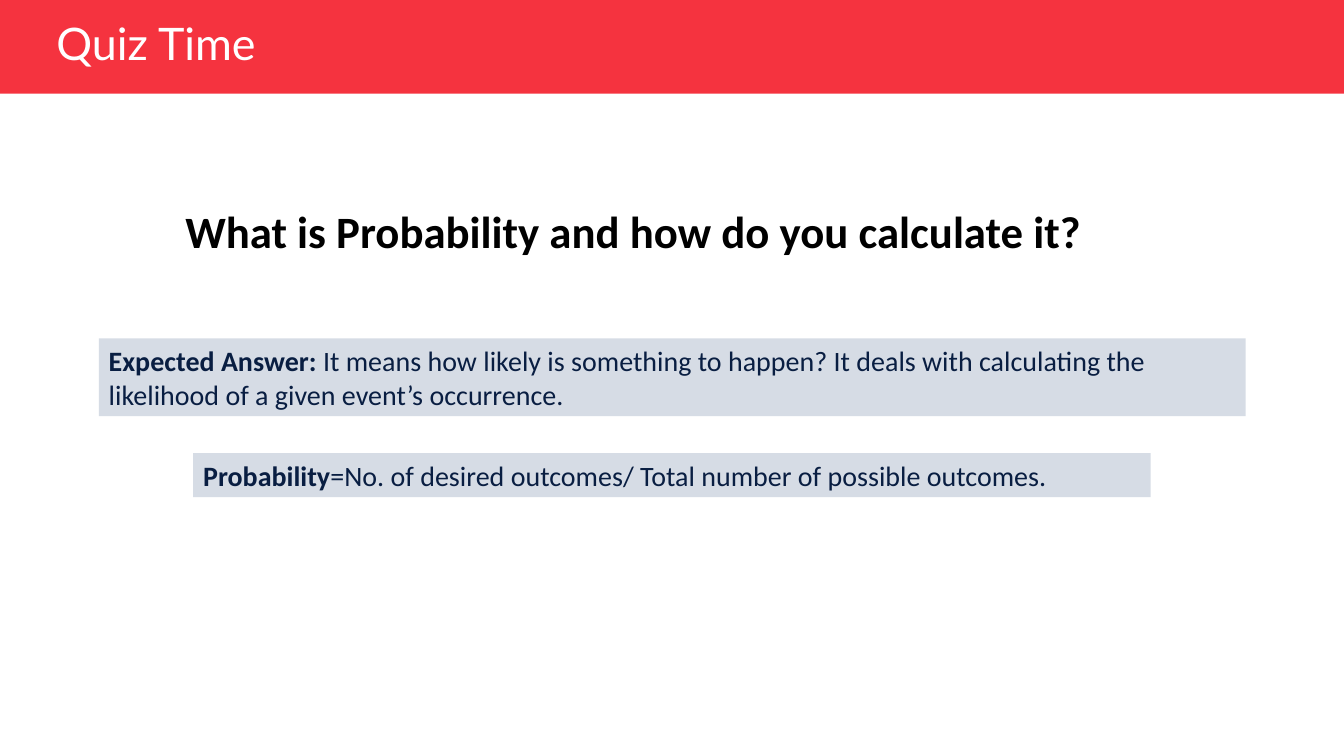
import pptx
import pptx.util
import pptx.dml.color
import pptx.enum.shapes
import pptx.enum.text

Cm = pptx.util.Cm
Pt = pptx.util.Pt
RED = pptx.dml.color.RGBColor(0xF5, 0x33, 0x3F)
WHITE = pptx.dml.color.RGBColor(0xFF, 0xFF, 0xFF)
BLACK = pptx.dml.color.RGBColor(0x00, 0x00, 0x00)
NAVY = pptx.dml.color.RGBColor(0x09, 0x1E, 0x42)
PALE_BLUE = pptx.dml.color.RGBColor(0xD6, 0xDC, 0xE5)

TITLE = {"name": "Lato", "size": Pt(32), "bold": False}
QUESTION = {"name": "Calibri", "size": Pt(32), "bold": True}
LABEL = {"name": "Calibri", "size": Pt(20), "bold": True}
BODY = {**LABEL, "bold": False}


def add_bar(slide, box, color):
    """Add a plain filled rectangle in the box and return it."""
    sp = slide.shapes.add_shape(
        pptx.enum.shapes.MSO_SHAPE.RECTANGLE, *map(Cm, box))
    sp.shadow.inherit = False
    sp.fill.solid()
    sp.fill.fore_color.rgb = color
    sp.line.fill.background()
    return sp


def write(sp, runs, color, anchor=pptx.enum.text.MSO_ANCHOR.TOP):
    """Write one left-aligned paragraph of (text, format) runs."""
    tf = sp.text_frame
    tf.word_wrap = True
    tf.vertical_anchor = anchor
    p = tf.paragraphs[0]
    p.alignment = pptx.enum.text.PP_ALIGN.LEFT
    for text, fmt in runs:
        r = p.add_run()
        r.text = text
        r.font.color.rgb = color
        for key, value in fmt.items():
            setattr(r.font, key, value)
    return p


def add_header(slide, box, title):
    """Add the red band across the box with the slide title in it."""
    left, top, width, height = box
    add_bar(slide, box, RED)
    sp = slide.shapes.add_textbox(
        Cm(left + 1.17), Cm(top + 0.46), Cm(19.74), Cm(height - 0.94))
    p = write(sp, [(title, TITLE)], WHITE, pptx.enum.text.MSO_ANCHOR.MIDDLE)
    p.line_spacing = 0.9


def add_question(slide, box, question):
    """Add the quiz question in the box."""
    sp = slide.shapes.add_textbox(*map(Cm, box))
    write(sp, [(question, QUESTION)], BLACK)


def add_answer(slide, box, label, text):
    """Add a pale answer panel with a bold label before its text."""
    sp = add_bar(slide, box, PALE_BLUE)
    write(sp, [(label, LABEL), (text, BODY)], NAVY)


def main():
    """Build the quiz slide and save it."""
    prs = pptx.Presentation()
    prs.slide_width, prs.slide_height = Cm(33.87), Cm(19.05)
    s = prs.slides.add_slide(prs.slide_layouts[6])
    add_header(s, (0, 0, 33.87, 2.36), "Quiz Time")
    add_question(s, (4.42, 5, 24.13, 1.63),
                 "What is Probability and how do you calculate it?")
    add_answer(s, (2.49, 8.53, 28.9, 1.96), "Expected Answer: ",
               "It means how likely is something to happen? It deals with "
               "calculating the likelihood of a given event’s occurrence.")
    add_answer(s, (4.87, 11.42, 24.13, 1.11), "Probability",
               "=No. of desired outcomes/ Total number of possible outcomes.")
    prs.save("out.pptx")


if __name__ == "__main__":
    main()
